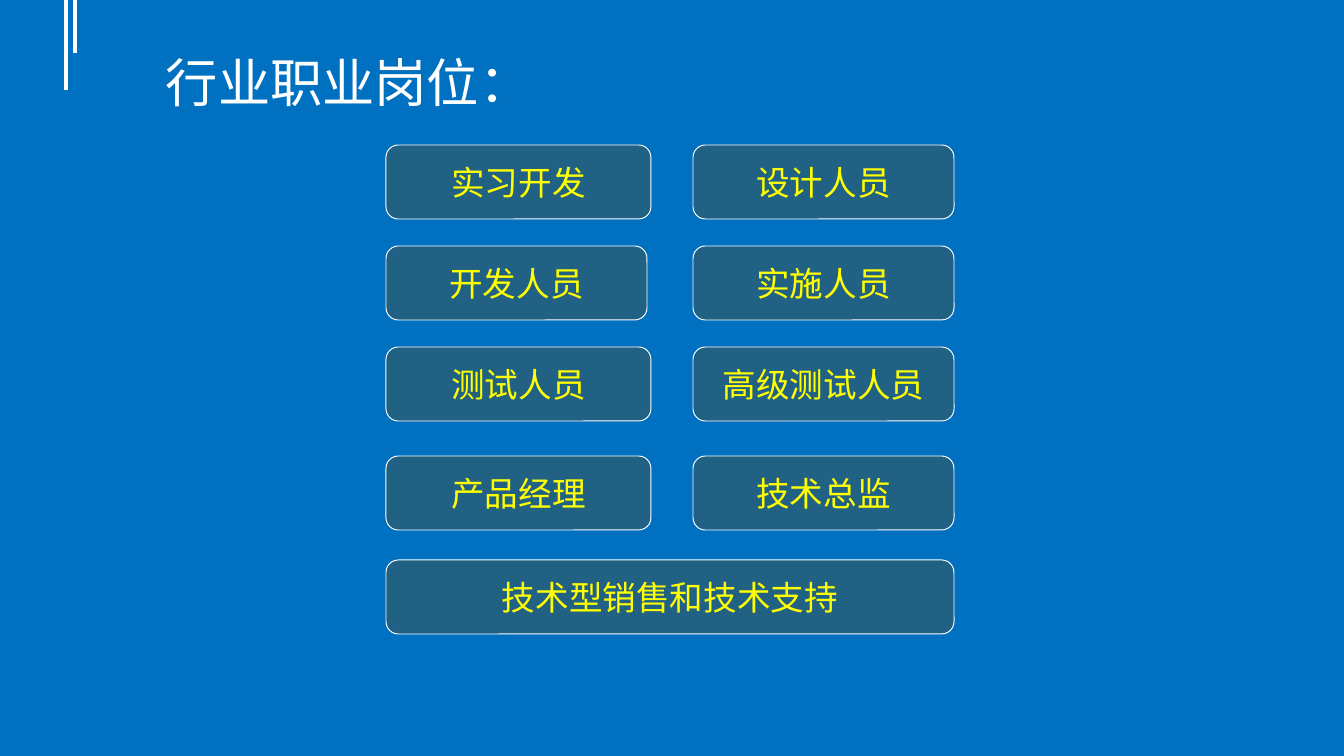
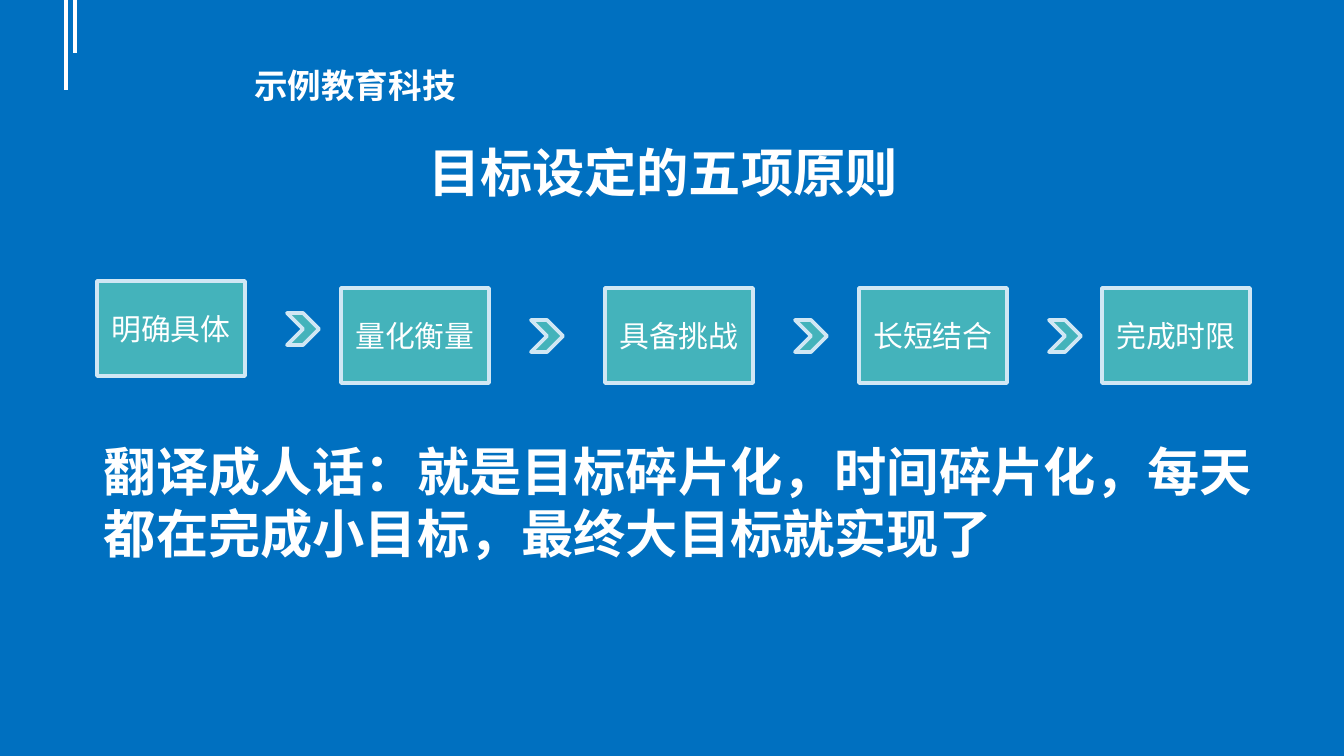
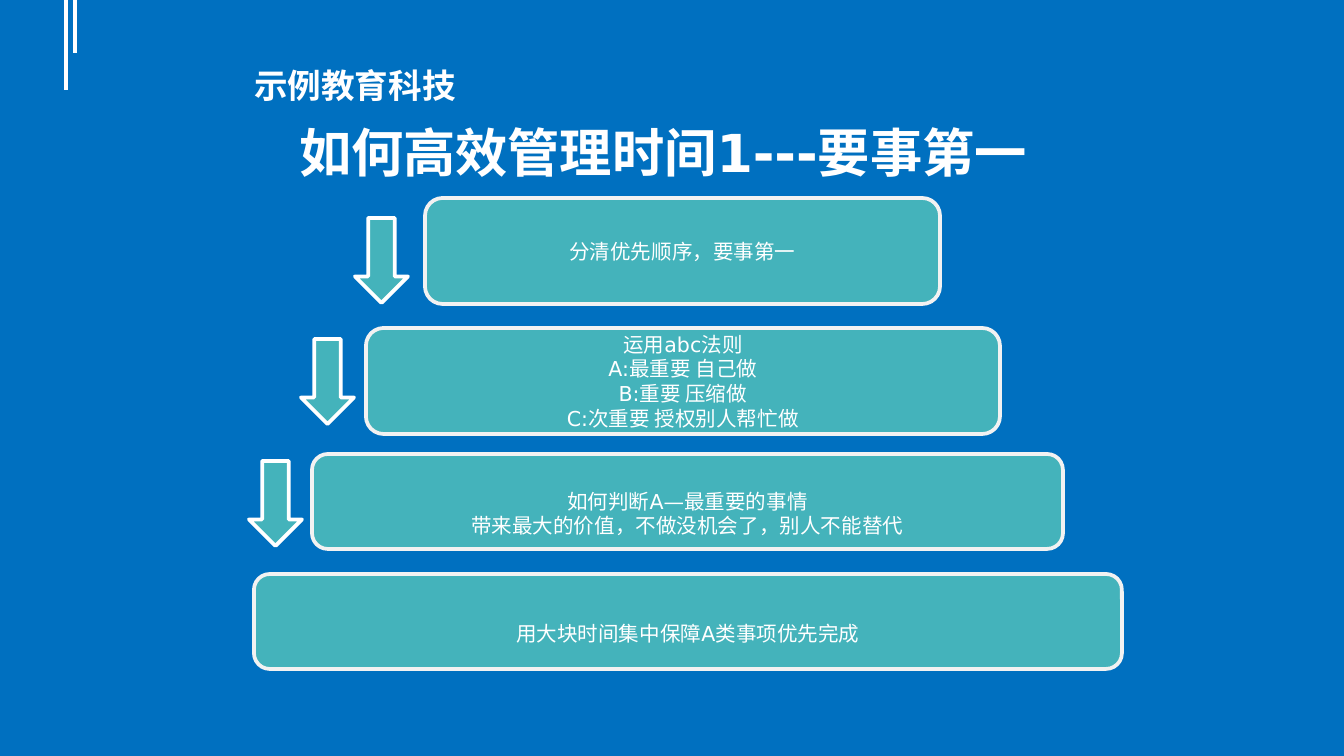
"""Build three slides on job roles, goal setting and time management."""
import pptx
import pptx.util
import pptx.dml.color
import pptx.enum.shapes
import pptx.enum.text
import pptx.oxml
import pptx.oxml.ns

EMU_PER_PX = 914400 / 134.4
WIDTH, HEIGHT = 1344, 756
FONT = "DejaVu Sans"
COLORS = {
    "ground": "0070C0", "white": "FFFFFF", "yellow": "FFFF00", "navy": "206184",
    "teal": "44B3BB", "ice": "D0E7F4", "mist": "F2F2F2",
}
SHAPE = pptx.enum.shapes.MSO_SHAPE
ALIGN = pptx.enum.text.PP_ALIGN
ANCHOR = pptx.enum.text.MSO_ANCHOR

HEADING = {"size": 28, "bold": True, "color": "white"}
PLAIN_HEADING = {"size": 28, "color": "white"}
BRAND = {"size": 18, "bold": True, "color": "white"}
ROLE = {"size": 18, "color": "yellow"}
PRINCIPLE = {"size": 16, "color": "white"}
STEP = {"size": 11, "color": "white"}

CORNER_LINES = [(66, 90), (75, 53)]
BRAND_NAME = "示例教育科技"

ROLES_TITLE = "行业职业岗位："
ROLE_ROWS = [
    (145, 265, "实习开发", "设计人员"),
    (246, 261, "开发人员", "实施人员"),
    (347, 265, "测试人员", "高级测试人员"),
    (456, 265, "产品经理", "技术总监"),
]
SALES_ROLE = (560, "技术型销售和技术支持")

GOALS_TITLE = "目标设定的五项原则"
PRINCIPLES = [
    (97, 281, "明确具体"),
    (341, 288, "量化衡量"),
    (605, 288, "具备挑战"),
    (859, 288, "长短结合"),
    (1102, 288, "完成时限"),
]
SUMMARY = "翻译成人话：就是目标碎片化，时间碎片化，每天都在完成小目标，最终大目标就实现了"

TIME_TITLE = "如何高效管理时间1---要事第一"
STEPS = [
    ((425, 198, 515, 106), 7, ["分清优先顺序，要事第一"]),
    ((366, 328, 634, 106), 7,
     ["运用abc法则", "A:最重要 自己做", "B:重要 压缩做", "C:次重要 授权别人帮忙做"]),
    ((312, 454, 751, 95), 31,
     ["如何判断A—最重要的事情", "带来最大的价值，不做没机会了，别人不能替代"]),
    ((254, 574, 868, 95), 31, ["用大块时间集中保障A类事项优先完成"]),
]
ARROWS = [(355, 218), (301, 339), (249, 461)]


def px(*lengths):
    return [pptx.util.Emu(round(length * EMU_PER_PX)) for length in lengths]


def rgb(name):
    return pptx.dml.color.RGBColor.from_string(COLORS[name])


def write(box, lines, style, align, anchor, top=7):
    frame = box.text_frame
    side, above, below = px(13, top, 7)
    settings = {
        "word_wrap": True, "vertical_anchor": anchor, "margin_left": side,
        "margin_right": side, "margin_top": above, "margin_bottom": below,
    }
    for name, value in settings.items():
        setattr(frame, name, value)
    for index, line in enumerate(lines):
        para = frame.paragraphs[0] if index == 0 else frame.add_paragraph()
        para.alignment = align
        span = para.add_run()
        span.text = line
        font = {"name": FONT, "size": pptx.util.Pt(style["size"]), "bold": style.get("bold", False)}
        for name, value in font.items():
            setattr(span.font, name, value)
        span.font.color.rgb = rgb(style["color"])


def add_text(page, place, text, style, anchor=ANCHOR.MIDDLE):
    box = page.shapes.add_textbox(*px(*place))
    write(box, [text], style, ALIGN.LEFT, anchor)


def add_box(page, kind, place, fill, line, weight, lines=(), style=None, top=7):
    box = page.shapes.add_shape(kind, *px(*place))
    box.shadow.inherit = False
    box.fill.solid()
    box.fill.fore_color.rgb = rgb(fill)
    box.line.color.rgb = rgb(line)
    box.line.width = pptx.util.Pt(weight)
    if lines:
        write(box, lines, style, ALIGN.CENTER, ANCHOR.MIDDLE, top)


def add_page(deck, branded=True):
    page = deck.slides.add_slide(deck.slide_layouts[6])
    page.background.fill.solid()
    page.background.fill.fore_color.rgb = rgb("ground")
    for x, length in CORNER_LINES:
        line = page.shapes.add_connector(
            pptx.enum.shapes.MSO_CONNECTOR.STRAIGHT, *px(x, 0, x, length))
        line.line.color.rgb = rgb("white")
        line.line.width = pptx.util.Pt(2.25)
        properties = line._element.spPr
        properties.append(pptx.oxml.parse_xml(f"<a:effectLst {pptx.oxml.ns.nsdecls('a')}/>"))
    if branded:
        add_text(page, (241, 58, 275, 86), BRAND_NAME, BRAND, ANCHOR.TOP)
    return page


def build_roles(deck):
    page = add_page(deck, branded=False)
    add_text(page, (153, 43, 400, 77), ROLES_TITLE, PLAIN_HEADING, ANCHOR.TOP)
    left, right, right_width, height = 386, 693, 261, 74
    cells = []
    for y, left_width, first, second in ROLE_ROWS:
        cells += [(left, y, left_width, first), (right, y, right_width, second)]
    y, text = SALES_ROLE
    cells.append((left, y, right + right_width - left, text))
    for x, y, width, text in cells:
        add_box(page, SHAPE.ROUNDED_RECTANGLE, (x, y, width, height),
                "navy", "white", 0.5, [text], ROLE)


def build_goals(deck):
    page = add_page(deck)
    add_text(page, (415, 134, WIDTH - 415, 75), GOALS_TITLE, HEADING)
    for index, (x, y, text) in enumerate(PRINCIPLES):
        add_box(page, SHAPE.RECTANGLE, (x, y, 148, 95), "teal", "ice", 2, [text], PRINCIPLE)
        if index < len(PRINCIPLES) - 1:
            add_box(page, SHAPE.CHEVRON, (x + 190, y + 32, 32, 32), "teal", "ice", 2)
    add_text(page, (91, 464, 1210, 75), SUMMARY, HEADING)


def build_time(deck):
    page = add_page(deck)
    add_text(page, (286, 114, 798, 75), TIME_TITLE, HEADING)
    for place, top, lines in STEPS:
        add_box(page, SHAPE.ROUNDED_RECTANGLE, place, "teal", "mist", 2, lines, STEP, top)
    for x, y in ARROWS:
        add_box(page, SHAPE.DOWN_ARROW, (x, y, 53, 85), "teal", "white", 2)


def main():
    deck = pptx.Presentation()
    deck.slide_width, deck.slide_height = px(WIDTH, HEIGHT)
    for build in (build_roles, build_goals, build_time):
        build(deck)
    deck.save("out.pptx")


if __name__ == "__main__":
    main()
